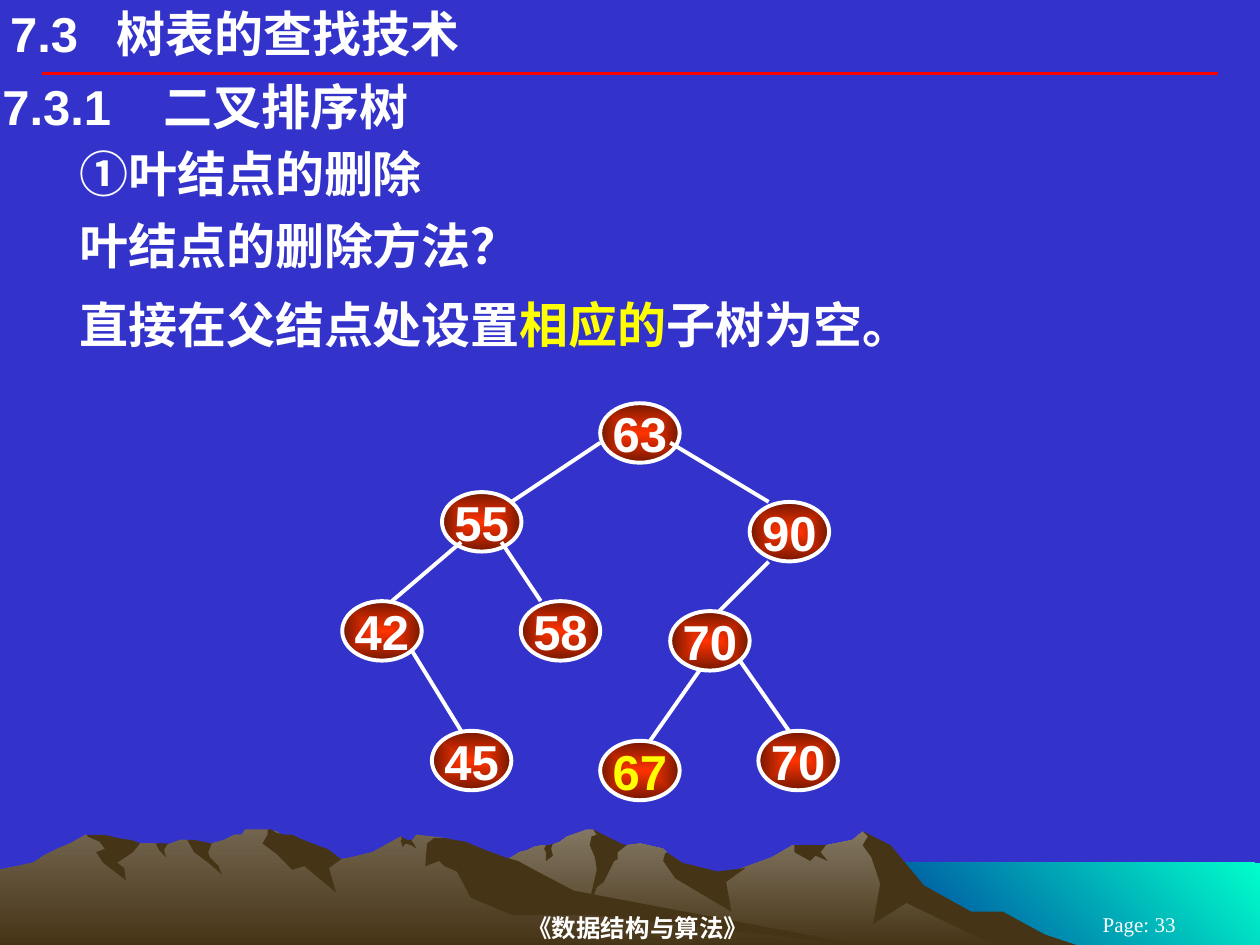
"""Builds the slide on deleting a leaf from a binary search tree."""
from dataclasses import dataclass

from lxml.etree import SubElement
from pptx import Presentation
from pptx.dml.color import RGBColor
from pptx.enum.shapes import MSO_CONNECTOR, MSO_SHAPE
from pptx.enum.text import MSO_ANCHOR, MSO_AUTO_SIZE, PP_ALIGN
from pptx.oxml.ns import qn
from pptx.util import Pt


@dataclass(frozen=True)
class Theme:
    background: str = "3333CC"
    text: str = "FFFFFF"
    accent: str = "FFFF00"
    rule: str = "FF0000"
    node: tuple = ("FF3300", "751700")
    sea: tuple = ("00FFCC", "003399")
    east_range: tuple = ("837763", "463416")
    west_range: tuple = ("72644E", "463416")
    shade: str = "463416"
    body_font: str = "Arial"
    footer_font: str = "Times New Roman"
    body_size: float = 28
    footer_size: float = 14
    page_size: float = 12
    line_width: float = 2.25


THEME = Theme()
NODE_SIZE = (45.4, 34)
BODY_INDENT = 45.4

SEA = [(720, 541), (492, 541), (492, 493), (720, 493)]
EAST_RANGE = [
    (577, 533), (560, 523), (550, 521), (521, 503), (505, 483), (493, 475), (487, 480),
    (472, 483), (453, 483), (441, 490), (408, 502), (386, 497), (381, 487), (379, 485),
    (366, 482), (358, 483), (350, 485), (341, 476), (339, 474), (335, 474), (324, 478),
    (320, 481), (315, 483), (310, 483), (305, 484), (301, 486), (297, 487), (292, 490),
    (287, 492), (284, 493), (256, 503), (235, 510), (199, 532), (186, 541), (591, 541)]
EAST_SHADES = [
    [(573, 521), (555, 521), (528, 506), (509, 483), (493, 475), (496, 478), (493, 483),
     (498, 490), (503, 505), (499, 528), (518, 516), (570, 541), (618, 541), (597, 534)],
    [(339, 474), (341, 477), (338, 478), (337, 483), (340, 490), (341, 497), (335, 523),
     (341, 507), (345, 504), (351, 492), (353, 491), (353, 487), (358, 483), (355, 482)],
    [(381, 487), (380, 488), (379, 492), (386, 502), (418, 521), (415, 504), (426, 496),
     (410, 498), (390, 493)],
    [(468, 483), (454, 483), (454, 487), (463, 492), (466, 489), (473, 492), (469, 487),
     (472, 483)],
    [(312, 487), (311, 485), (312, 483), (314, 483), (316, 482), (315, 485), (316, 489),
     (312, 492)],
]
WEST_RANGE = [
    (497, 541), (480, 539), (311, 513), (255, 479), (238, 477), (235, 481), (233, 481),
    (229, 478), (213, 487), (201, 490), (195, 491), (187, 487), (170, 490), (161, 477),
    (158, 475), (153, 474), (140, 474), (138, 477), (134, 477), (128, 480), (121, 482),
    (115, 483), (107, 480), (103, 480), (95, 483), (92, 483), (89, 482), (80, 482),
    (68, 483), (49, 477), (40, 482), (33, 485), (25, 489), (19, 493), (10, 495),
    (0, 497), (0, 541)]
WEST_SHADES = [
    [(153, 477), (150, 482), (158, 488), (167, 497), (174, 495), (192, 510), (188, 496),
     (195, 491), (187, 485), (181, 483), (176, 481), (171, 479), (167, 477), (163, 477),
     (158, 476), (155, 474), (153, 474)],
    [(266, 481), (260, 480), (255, 479), (248, 479), (244, 482), (243, 495), (251, 492),
     (254, 495), (261, 498), (269, 513), (293, 523), (340, 523), (497, 541), (492, 540),
     (328, 509), (307, 498), (296, 492), (289, 490), (278, 486)],
    [(229, 480), (230, 480), (229, 478), (233, 480), (235, 480), (237, 483), (238, 485),
     (235, 483), (232, 482), (231, 483), (230, 484)],
    [(111, 480), (116, 481), (121, 482), (119, 487), (120, 490), (122, 492), (125, 495),
     (126, 498), (127, 500), (119, 493), (111, 487), (107, 480)],
    [(96, 482), (94, 485), (94, 487), (95, 490), (91, 486), (89, 482)],
    [(78, 481), (80, 482), (76, 487), (67, 493), (71, 496), (72, 503), (59, 493),
     (55, 487), (60, 485), (57, 481), (50, 478), (50, 477), (60, 477), (68, 479), (75, 480)],
]

NODES = [
    ("70", 433.4, 417.6, THEME.text), ("70", 383, 349.2, THEME.text),
    ("58", 297.6, 343.5, THEME.text), ("42", 195.6, 343.5, THEME.text),
    ("90", 428.4, 286.8, THEME.text), ("55", 252.6, 281.2, THEME.text),
    ("63", 343, 230.4, THEME.text), ("67", 343, 423.3, THEME.accent),
    ("45", 246.8, 417.6, THEME.text),
]
BRANCHES = [
    (343, 253, 292.3, 286.8), (263.5, 309.8, 224, 343.5),
    (383, 253, 439.2, 286.8), (286.5, 309.8, 309, 343.5),
    (439.2, 321, 411, 349.2), (422.7, 377.4, 450.8, 417.6),
    (399.8, 383, 371.5, 423.3), (235.5, 372, 263.5, 417.6),
]


def apply(target, values):
    for name, value in values.items():
        setattr(target, name, value)


def rgb(color):
    return RGBColor.from_string(color)


def paint(fill, colors, angle=None):
    if isinstance(colors, str):
        fill.solid()
        fill.fore_color.rgb = rgb(colors)
        return
    fill.gradient()
    for stop, color in zip(fill.gradient_stops, colors):
        stop.color.rgb = rgb(color)
    if angle is not None:
        fill.gradient_angle = angle


def write(paragraph, runs, size=THEME.body_size, font=THEME.body_font, bold=True):
    for words, color in runs:
        run = paragraph.add_run()
        run.text = words
        apply(run.font, {"size": Pt(size), "name": font, "bold": bold})
        run.font.color.rgb = rgb(color)


def add_land(slide, outline, colors, angle=None):
    builder = slide.shapes.build_freeform(*outline[0], scale=Pt(1))
    builder.add_line_segments(outline[1:], close=True)
    land = builder.convert_to_shape()
    land.shadow.inherit = False
    land.line.fill.background()
    paint(land.fill, colors, angle)


def add_line(slide, ends, color):
    line = slide.shapes.add_connector(MSO_CONNECTOR.STRAIGHT, *map(Pt, ends))
    line.line.width = Pt(THEME.line_width)
    line.line.color.rgb = rgb(color)
    SubElement(line._element.spPr, qn("a:effectLst"))


def add_node(slide, key, left, top, color):
    node = slide.shapes.add_shape(MSO_SHAPE.OVAL, *map(Pt, (left, top, *NODE_SIZE)))
    node.shadow.inherit = False
    paint(node.fill, THEME.node)
    gradient = node._element.spPr.find(qn("a:gradFill"))
    gradient.remove(gradient.find(qn("a:lin")))
    center = SubElement(SubElement(gradient, qn("a:path"), {"path": "rect"}), qn("a:fillToRect"))
    for side in "ltrb":
        center.set(side, "50000")
    node.line.width = Pt(THEME.line_width)
    node.line.color.rgb = rgb(THEME.text)
    apply(node.text_frame, {"word_wrap": False, "vertical_anchor": MSO_ANCHOR.MIDDLE})
    paragraph = node.text_frame.paragraphs[0]
    paragraph.alignment = PP_ALIGN.CENTER
    write(paragraph, [(key, color)])


def add_text(slide, box, runs, margins=(1.4, 0.7), tab=None, frame_format=None, align=None, **font):
    frame = slide.shapes.add_textbox(*map(Pt, box)).text_frame
    side, edge = map(Pt, margins)
    apply(frame, {"word_wrap": True, "auto_size": MSO_AUTO_SIZE.SHAPE_TO_FIT_TEXT,
                  "margin_left": side, "margin_right": side,
                  "margin_top": edge, "margin_bottom": edge, **(frame_format or {})})
    paragraph = frame.paragraphs[0]
    if tab:
        stops = SubElement(paragraph._p.get_or_add_pPr(), qn("a:tabLst"))
        SubElement(stops, qn("a:tab"), {"pos": str(Pt(tab)), "algn": "l"})
    paragraph.alignment = align
    write(paragraph, runs, **font)


def add_landscape(slide):
    add_land(slide, SEA, THEME.sea, 225)
    for outline, colors, shades in ((EAST_RANGE, THEME.east_range, EAST_SHADES),
                                    (WEST_RANGE, THEME.west_range, WEST_SHADES)):
        add_land(slide, outline, colors, 270)
        for shade in shades:
            add_land(slide, shade, THEME.shade)


def main():
    deck = Presentation()
    apply(deck, {"slide_width": Pt(720), "slide_height": Pt(540)})
    slide = deck.slides.add_slide(deck.slide_layouts[6])
    paint(slide.background.fill, THEME.background)
    add_landscape(slide)
    add_line(slide, (24, 42, 696, 42), THEME.rule)

    footer = {"align": PP_ALIGN.CENTER, "font": THEME.footer_font, "frame_format": {
        "auto_size": MSO_AUTO_SIZE.NONE, "vertical_anchor": MSO_ANCHOR.MIDDLE}}
    add_text(slide, (146.5, 520, 436, 20), [("《数据结构与算法》", THEME.text)],
             margins=(0, 0.7), size=THEME.footer_size, **footer)
    add_text(slide, (594, 522, 114, 12), [("Page: 33", THEME.text)],
             margins=(7.2, 3.6), size=THEME.page_size, bold=False, **footer)

    add_text(slide, (5.8, 2.2, 468, 34), [("7.3\t树表的查找技术", THEME.text)],
             margins=(0, 0), tab=61)
    add_text(slide, (0, 43.2, 720, 35), [("7.3.1\t二叉排序树", THEME.text)], tab=92)
    for node in NODES:
        add_node(slide, *node)
    for branch in BRANCHES:
        add_line(slide, branch, THEME.text)
    for top, runs in (
            (81.4, [("①叶结点的删除", THEME.text)]),
            (122.4, [("叶结点的删除方法？", THEME.text)]),
            (167.8, [("直接在父结点处设置", THEME.text), ("相应的", THEME.accent),
                     ("子树为空。", THEME.text)])):
        add_text(slide, (0, top, 717, 35), runs, frame_format={"margin_left": Pt(BODY_INDENT)})
    deck.save("out.pptx")


if __name__ == "__main__":
    main()
